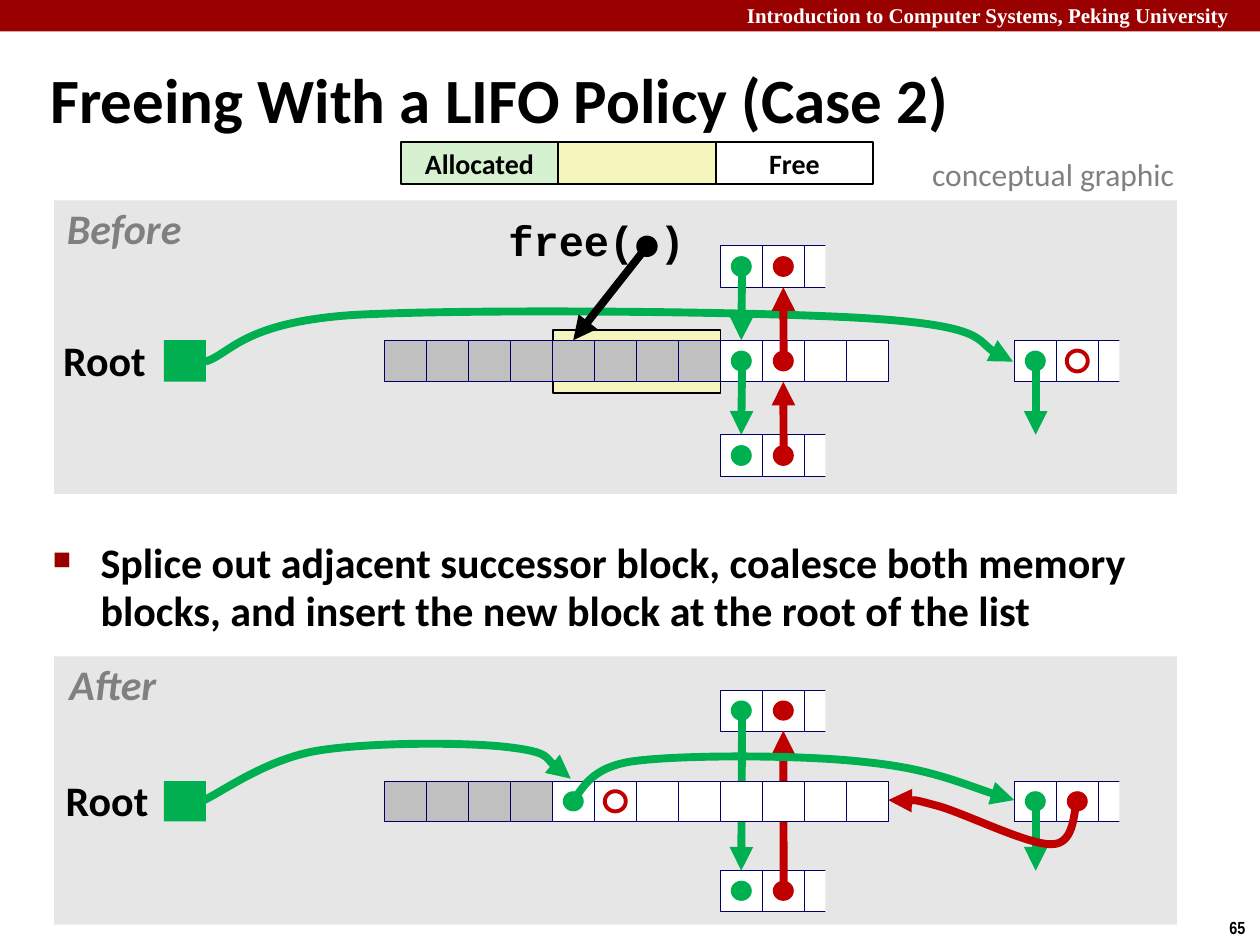
import pptx
import pptx.dml.color
import pptx.enum.shapes
import pptx.enum.text
import pptx.oxml.ns
import pptx.util
from lxml import etree

Inches = pptx.util.Inches
Pt = pptx.util.Pt
RGBColor = pptx.dml.color.RGBColor
qn = pptx.oxml.ns.qn
MSO_SHAPE = pptx.enum.shapes.MSO_SHAPE
PP_ALIGN = pptx.enum.text.PP_ALIGN
MSO_ANCHOR = pptx.enum.text.MSO_ANCHOR
MSO_AUTO_SIZE = pptx.enum.text.MSO_AUTO_SIZE

BLACK = RGBColor(0x00, 0x00, 0x00)
WHITE = RGBColor(0xFF, 0xFF, 0xFF)
CRIMSON = RGBColor(0x99, 0x00, 0x00)
PANEL_GRAY = RGBColor(0xE6, 0xE6, 0xE6)
CELL_GRAY = RGBColor(0xC0, 0xC0, 0xC0)
TEXT_GRAY = RGBColor(0x80, 0x80, 0x80)
NAVY = RGBColor(0x00, 0x00, 0x66)
GREEN = RGBColor(0x00, 0xB0, 0x50)
RED = RGBColor(0xC0, 0x00, 0x00)
PALE_YELLOW = RGBColor(0xF6, 0xF5, 0xBD)
PALE_GREEN = RGBColor(0xD5, 0xF1, 0xCF)

PITCH = 1 / 3
HEAP_LEFT = 3.05
HEAP_CELLS = 12
NEXT, PREV = 8, 9  # columns of the successor's two pointers
LAST = 15  # first column of the block at the far right
TOP, BOTTOM = 0, 2  # connection sites
UPPER, HEAP, LOWER = 0, 1, 2  # rows of a panel

prs = pptx.Presentation()
prs.slide_width, prs.slide_height = Inches(10), Inches(7.5)
slide = prs.slides.add_slide(prs.slide_layouts[5])


def add_box(left, top, width, height, fill=None, line=None, weight=0.25, kind=MSO_SHAPE.RECTANGLE):
    box = slide.shapes.add_shape(kind, Inches(left), Inches(top), Inches(width), Inches(height))
    box.shadow.inherit = False
    if fill is None:
        box.fill.background()
    else:
        box.fill.solid()
        box.fill.fore_color.rgb = fill
    if line is None:
        box.line.fill.background()
    else:
        box.line.color.rgb = line
        box.line.width = Pt(weight)
    return box


def add_link(points, color, target=None, site=TOP):
    """Draw an arrow: straight for two points, else a Bézier chain of start and control points."""
    (x, y), *rest = [(Inches(px), Inches(py)) for px, py in points]
    if len(rest) == 1:
        link = slide.shapes.add_connector(pptx.enum.shapes.MSO_CONNECTOR.STRAIGHT, x, y, *rest[0])
        if target is not None:
            link.end_connect(target, site)
    else:
        builder = slide.shapes.build_freeform(x, y)
        builder.add_line_segments(rest, close=False)
        link = builder.convert_to_shape()
        link.fill.background()
        segments = list(link._element.iter(qn("a:lnTo")))
        for i in range(0, len(segments), 3):
            curve = etree.Element(qn("a:cubicBezTo"))
            segments[i].addprevious(curve)
            for segment in segments[i:i + 3]:
                curve.append(segment[0])
                segment.getparent().remove(segment)
    link.line.color.rgb = color
    link.line.width = Pt(4.5)
    properties = link._element.spPr
    etree.SubElement(properties.find(qn("a:ln")), qn("a:tailEnd"), type="triangle")
    etree.SubElement(properties, qn("a:effectLst"))


# Title and header band
title = slide.shapes.title
title.left, title.top, title.width, title.height = Inches(0.3), Inches(0.39), Inches(9.53), Inches(0.86)
title.text_frame.text = "Freeing With a LIFO Policy (Case 2)"
title.text_frame.auto_size = MSO_AUTO_SIZE.NONE
title.text_frame.vertical_anchor = MSO_ANCHOR.MIDDLE
heading = title.text_frame.paragraphs[0]
heading.alignment = PP_ALIGN.LEFT
heading.line_spacing = 0.87
heading.font.name, heading.font.size, heading.font.bold = "Calibri", Pt(36), True
heading.font.color.rgb = BLACK
add_box(0, 0, 10, 0.25, CRIMSON)

# Each link: points, colour, then optionally the (row, column) it joins and the site there.
panels = [
    dict(
        top=1.59, height=2.33, rows=(1.95, 2.70, 3.45), cell=0.33, gray=8,
        back_links=[([(1.63, 2.87), (1.83, 2.81), (1.92, 2.56), (2.8, 2.5), (3.69, 2.45), (6.06, 2.47),
                      (6.94, 2.53), (7.81, 2.59), (7.81, 2.8), (8.04, 2.87)], GREEN)],
        front_links=[
            ([(5.89, 2.87), (5.89, 3.45)], GREEN, (LOWER, NEXT), TOP),
            ([(5.89, 2.12), (5.89, 2.70)], GREEN, (HEAP, NEXT), TOP),
            ([(6.22, 3.62), (6.22, 3.03)], RED, (HEAP, PREV), BOTTOM),
            ([(6.22, 2.87), (6.22, 2.28)], RED, (UPPER, PREV), BOTTOM),
            ([(8.22, 2.87), (8.22, 3.45)], GREEN),
            ([(5.14, 1.95), (4.55, 2.70)], BLACK, (HEAP, 4), TOP),
        ],
        dots=[(HEAP, NEXT, GREEN), (HEAP, PREV, RED), (HEAP, LAST, GREEN)],
        ring=LAST + 1,
    ),
    dict(
        top=5.21, height=2.13, rows=(5.48, 6.20, 6.91), cell=0.32, gray=4,
        back_links=[
            ([(6.22, 7.07), (6.22, 5.80)], RED, (UPPER, PREV), BOTTOM),
            ([(5.89, 5.64), (5.89, 6.91)], GREEN, (LOWER, NEXT), TOP),
        ],
        front_links=[
            ([(8.22, 6.35), (8.22, 6.91)], GREEN),
            ([(4.54, 6.35), (4.62, 6.3), (4.65, 6.09), (5.04, 6.04), (5.43, 5.99), (6.38, 5.99),
              (6.88, 6.05), (7.38, 6.1), (7.81, 6.29), (8.05, 6.35)], GREEN),
            ([(8.55, 6.35), (8.52, 6.41), (8.54, 6.7), (8.35, 6.7), (8.16, 6.71), (7.63, 6.44),
              (7.42, 6.39), (7.2, 6.33), (7.13, 6.36), (7.05, 6.35)], RED),
            ([(1.62, 6.35), (1.77, 6.28), (2.11, 6.03), (2.51, 5.96), (2.92, 5.89), (3.7, 5.89),
              (4.03, 5.93), (4.37, 5.97), (4.43, 6.13), (4.53, 6.18)], GREEN),
        ],
        dots=[(HEAP, 4, GREEN), (HEAP, LAST, GREEN), (HEAP, LAST + 1, RED)],
        ring=5,
    ),
]

for number, panel in enumerate(panels):
    rows, height = panel["rows"], panel["cell"]
    add_box(0.43, panel["top"], 8.91, panel["height"], PANEL_GRAY)
    if number == 0:
        add_box(4.39, 2.62, 1.33, 0.5, PALE_YELLOW, BLACK, 0.75)  # block being freed

    # Cut-off blocks: a panel-coloured cover hides half of the third cell
    cells = {}
    for row, first in ((UPPER, NEXT), (LOWER, NEXT), (HEAP, LAST)):
        left = HEAP_LEFT + first * PITCH
        for i in range(3):
            cells[row, first + i] = add_box(left + i * PITCH, rows[row], PITCH, height, WHITE, NAVY)
        add_box(left + 2.5 * PITCH, rows[row] - 0.08, PITCH, height + 0.16, PANEL_GRAY)

    if number == 1:
        for points, color, target, site in panel["back_links"]:
            add_link(points, color, cells[target], site)
    else:
        for points, color in panel["back_links"]:
            add_link(points, color)

    for column in range(HEAP_CELLS):
        fill = CELL_GRAY if column < panel["gray"] else WHITE
        cells[HEAP, column] = add_box(HEAP_LEFT + column * PITCH, rows[HEAP], PITCH, height, fill, NAVY)
    add_box(1.3, rows[HEAP], PITCH, height, GREEN)  # root

    for points, color, *joint in panel["front_links"]:
        add_link(points, color, *([cells[joint[0]], joint[1]] if joint else []))

    neighbours = [(row, column, color) for row in (UPPER, LOWER) for column, color in ((NEXT, GREEN), (PREV, RED))]
    for row, column, color in neighbours + panel["dots"] + [(HEAP, panel["ring"], None)]:
        add_box(HEAP_LEFT + (column + 0.25) * PITCH, rows[row] + height / 4, PITCH / 2, height / 2,
                color, None if color else RED, 2.25, MSO_SHAPE.OVAL)
add_box(5.05, 1.87, 0.17, 0.17, BLACK, kind=MSO_SHAPE.OVAL)  # argument of free

# Legend
for i, (name, fill) in enumerate((("", PALE_YELLOW), ("Allocated", PALE_GREEN), ("Free", WHITE))):
    key = add_box(3.18 + 1.25 * (1, 0, 2)[i], 1.13, 1.25, 0.33, fill, BLACK, 1)
    if name:
        key.text_frame.text = name
        key.text_frame.word_wrap = False
        key.text_frame.margin_top = key.text_frame.margin_bottom = Inches(0.05)
        key.text_frame.vertical_anchor = MSO_ANCHOR.MIDDLE
        entry = key.text_frame.paragraphs[0]
        entry.alignment = PP_ALIGN.CENTER
        entry.font.name, entry.font.size, entry.font.bold = "Calibri", Pt(16), True
        entry.font.color.rgb = BLACK

# Labels: text, position, font, size, colour, bold, italic, diagram label
labels = [
    ("Introduction to Computer Systems, Peking University", (5.83, -0.03, 4.24, 0.3),
     "Times New Roman", 12, WHITE, True, False, False),
    ("65", (9.66, 7.23, 0.34, 0.27), "Arial Narrow", 10, BLACK, True, False, False),
    ("conceptual graphic", (7.3, 1.18, 2.17, 0.4), "Calibri", 18, TEXT_GRAY, False, False, False),
    ("free( )", (3.98, 1.7, 1.51, 0.47), "Courier New", 24, BLACK, True, False, True),
    ("Root", (0.45, 2.65, 0.76, 0.47), "Calibri", 24, BLACK, True, False, True),
    ("Before", (0.47, 1.6, 1.03, 0.47), "Calibri", 24, TEXT_GRAY, True, True, True),
    ("Root", (0.47, 6.14, 0.76, 0.44), "Calibri", 24, BLACK, True, False, True),
    ("After", (0.49, 5.22, 0.81, 0.44), "Calibri", 24, TEXT_GRAY, True, True, True),
]
for text, position, font, size, color, bold, italic, in_diagram in labels:
    frame = slide.shapes.add_textbox(*map(Inches, position)).text_frame
    frame.text = text
    frame.word_wrap = False
    frame.auto_size = MSO_AUTO_SIZE.SHAPE_TO_FIT_TEXT
    label = frame.paragraphs[0]
    if in_diagram:
        frame.margin_left = frame.margin_right = frame.margin_top = frame.margin_bottom = Inches(0.05)
        label.alignment = PP_ALIGN.CENTER
        label.line_spacing = 0.9
    label.font.name, label.font.size, label.font.bold, label.font.italic = font, Pt(size), bold, italic
    label.font.color.rgb = color

# Explanation between the panels
frame = slide.shapes.add_textbox(Inches(0.32), Inches(4.24), Inches(9.09), Inches(0.86)).text_frame
frame.word_wrap = True
frame.text = ("Splice out adjacent successor block, coalesce both memory blocks, "
              "and insert the new block at the root of the list")
step = frame.paragraphs[0]
step.line_spacing = 0.95
bullet = step._p.get_or_add_pPr()
bullet.set("marL", str(Inches(0.38)))
bullet.set("indent", str(Inches(-0.38)))
etree.SubElement(etree.SubElement(bullet, qn("a:buClr")), qn("a:srgbClr"), val=str(CRIMSON))
etree.SubElement(bullet, qn("a:buSzPct"), val="60000")
etree.SubElement(bullet, qn("a:buChar"), char="■")
step.font.name, step.font.size, step.font.bold = "Calibri", Pt(24), True
step.font.color.rgb = BLACK

prs.save("out.pptx")
